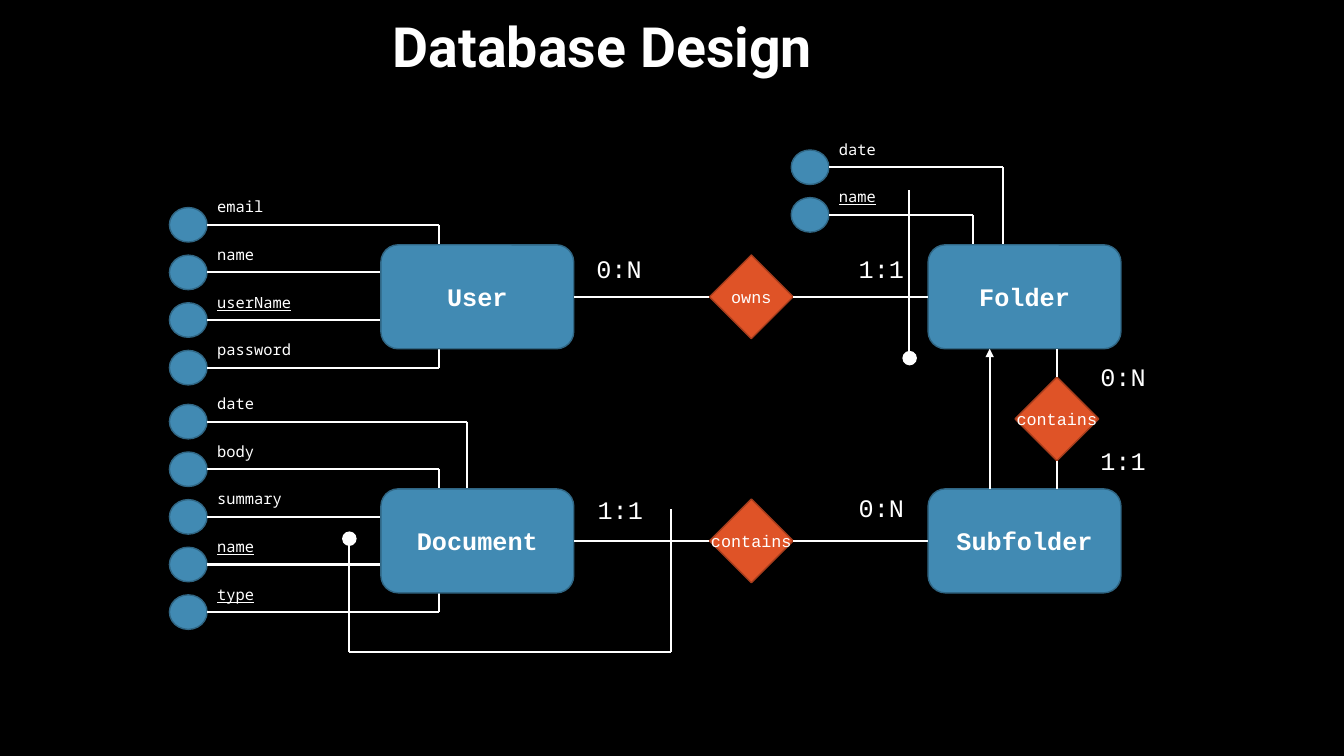
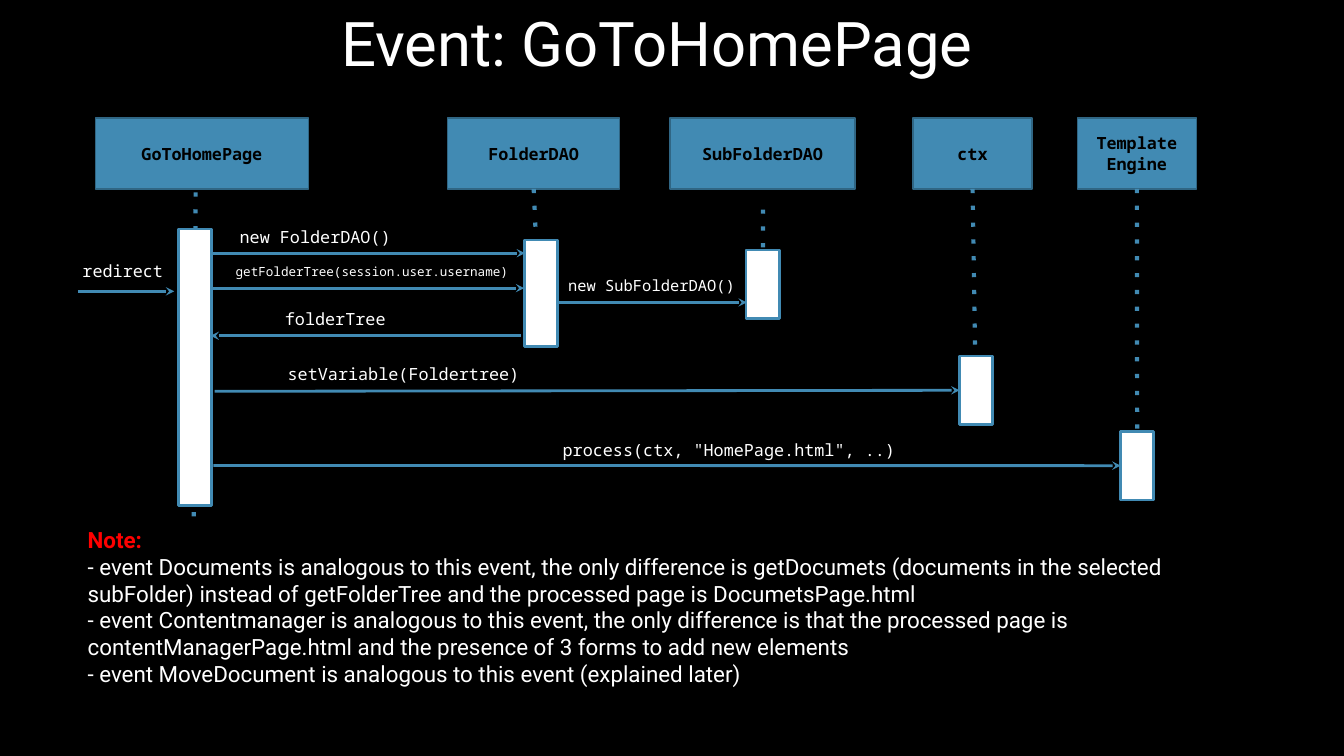
"""Build the database design and page event slides."""
from dataclasses import dataclass
from typing import Optional

from lxml import etree
from pptx import Presentation
from pptx import util as u
from pptx.dml.color import RGBColor
from pptx.enum import shapes, text
from pptx.oxml.ns import qn

BLACK, WHITE, RED = "000000", "FFFFFF", "FF0000"
BLUE, BLUE_EDGE = "418AB3", "306684"
ORANGE, ORANGE_EDGE = "DF5327", "A53D1D"
SANS, MONO, COURIER = "Roboto", "Noto Sans Mono", "Courier New"
TOP, LEFT, BOTTOM, RIGHT = range(4)
SHAPE = shapes.MSO_SHAPE
ALIGN = text.PP_ALIGN

ENTITY_W, ENTITY_H, DIAMOND, DOT = 4.86, 2.62, 2.11, 0.33
OVAL_W, OVAL_H, ATTRIBUTE_PITCH = 0.95, 0.87, 1.2
HEADER_TOP, HEADER_H, BAR_W = 2.97, 1.79, 0.84

Point = tuple[float, float]


@dataclass
class Style:
    size: float
    font: str
    color: str = WHITE
    bold: bool = False
    underline: bool = False


@dataclass
class Attribute:
    name: str
    reach: float
    key: bool = False


@dataclass
class Entity:
    name: str
    left: float
    top: float
    attributes_at: Point = (0, 0)
    attributes: tuple[Attribute, ...] = ()


@dataclass
class Participant:
    name: str
    left: float
    width: float
    bar_left: float
    bar_top: float
    bar_height: float = 1.73
    line_start: Optional[Point] = None
    line_end: Optional[Point] = None


@dataclass
class Message:
    label: str
    start: Point
    end_x: float
    label_at: Point
    size: float = 12
    target: Optional[int] = None


ENTITIES = (
    Entity("User", 9.6, 6.17, (4.27, 5.23), (
        Attribute("email", 11.07), Attribute("name", 9.6),
        Attribute("userName", 9.6, True), Attribute("password", 11.07))),
    Entity("Folder", 23.39, 6.17, (19.94, 3.78), (
        Attribute("date", 25.27), Attribute("name", 24.51, True))),
    Entity("Document", 9.6, 12.32, (4.27, 10.19), (
        Attribute("date", 11.76), Attribute("body", 11.07), Attribute("summary", 9.6),
        Attribute("name", 9.6, True), Attribute("type", 11.07, True))),
    Entity("Subfolder", 23.39, 12.32),
)
CARDINALITIES = (
    ("0:N", 14.78, 6.27), ("1:1", 21.39, 6.25), ("1:1", 14.81, 12.32),
    ("0:N", 21.39, 12.27), ("0:N", 27.48, 8.99), ("1:1", 27.48, 11.1),
)
REFERENCE_LINES = (
    ((22.91, 8.84), (22.91, 4.8)), ((8.79, 16.43), (8.79, 13.61)),
    ((8.79, 16.43), (16.9, 16.43)), ((16.92, 16.43), (16.92, 12.83)),
)
REFERENCE_DOTS = ((22.76, 8.86), (8.64, 13.41))

PARTICIPANTS = (
    Participant("GoToHomePage", 2.41, 5.36, 4.5, 5.77, 6.96, (4.93, 4.85), (4.88, 13.31)),
    Participant("FolderDAO", 11.28, 4.34, 13.21, 6.05, 2.69),
    Participant("SubFolderDAO", 16.89, 4.66, 18.8, 6.3, line_start=(19.23, 5.28)),
    Participant("ctx", 23.01, 3, 24.18, 8.97),
    Participant("Template Engine", 27.15, 3, 28.24, 10.87),
)
MESSAGES = (
    Message("redirect", (1.96, 7.34), 4.39, (1.83, 6.45)),
    Message("new FolderDAO()", (5.38, 6.38), 13.23, (5.79, 5.59)),
    Message("getFolderTree(session.user.username)", (5.36, 7.26), 13.21, (5.69, 6.53), 9),
    Message("folderTree", (13.13, 8.46), 5.31, (6.93, 7.65)),
    Message("new SubFolderDAO()", (14.07, 7.62), 18.82, (14.07, 6.83), 11),
    Message("setVariable(Foldertree)", (5.41, 9.86), 24.18, (7, 9.04), target=3),
    Message('process(ctx, "HomePage.html", ..)', (5.38, 11.73), 28.24, (13.93, 10.95), target=4),
)
NOTES = (
    "Note:",
    "- event Documents is analogous to this event, the only difference is getDocumets "
    "(documents in the selected subFolder) instead of getFolderTree and the processed "
    "page is DocumetsPage.html",
    "- event Contentmanager is analogous to this event, the only difference is that the "
    "processed page is contentManagerPage.html and the presence of 3 forms to add new elements",
    "- event MoveDocument is analogous to this event (explained later)",
)


def rgb(color: str) -> RGBColor:
    return RGBColor.from_string(color)


def format_paragraph(p, style: Style, align=ALIGN.LEFT) -> None:
    p.alignment = align
    for r in p.runs:
        r.font.size, r.font.name = u.Pt(style.size), style.font
        r.font.bold, r.font.underline = style.bold, style.underline
        r.font.color.rgb = rgb(style.color)


def add_text(s, content: str, left: float, top: float, width: float, height: float,
             style: Style, align=ALIGN.LEFT):
    tf = s.shapes.add_textbox(u.Cm(left), u.Cm(top), u.Cm(width), u.Cm(height)).text_frame
    tf.word_wrap = True
    tf.text = content
    for p in tf.paragraphs:
        format_paragraph(p, style, align)
    return tf


def add_box(s, kind, left: float, top: float, width: float, height: float, fill: str,
            edge: str, edge_width: float = 1, label: str = "", style: Optional[Style] = None):
    sp = s.shapes.add_shape(kind, u.Cm(left), u.Cm(top), u.Cm(width), u.Cm(height))
    sp.shadow.inherit = False
    sp.fill.solid()
    sp.fill.fore_color.rgb = rgb(fill)
    sp.line.color.rgb = rgb(edge)
    sp.line.width = u.Pt(edge_width)
    if style:
        tf = sp.text_frame
        tf.text = label
        tf.vertical_anchor = text.MSO_ANCHOR.MIDDLE
        format_paragraph(tf.paragraphs[0], style, ALIGN.CENTER)
    return sp


def add_line(s, start: Point, end: Point, color: str = WHITE, width: float = 1.5,
             dash: str = "", arrow: str = ""):
    c = s.shapes.add_connector(shapes.MSO_CONNECTOR.STRAIGHT,
                               *(u.Cm(v) for v in (*start, *end)))
    c.line.color.rgb = rgb(color)
    c.line.width = u.Pt(width)
    ln = c.line._get_or_add_ln()
    if dash:
        etree.SubElement(ln, qn("a:prstDash"), val=dash)
    if arrow:
        etree.SubElement(ln, qn("a:tailEnd"), type=arrow)
    etree.SubElement(c._element.spPr, qn("a:effectLst"))
    return c


def add_slide(prs, title: str, left: float, top: float, style: Style):
    s = prs.slides.add_slide(prs.slide_layouts[6])
    s.background.fill.solid()
    s.background.fill.fore_color.rgb = rgb(BLACK)
    tf = add_text(s, title, left, top, 29.21, 1.98, style, ALIGN.CENTER)
    tf.vertical_anchor = text.MSO_ANCHOR.MIDDLE
    tf.paragraphs[0].line_spacing = 0.9
    return s


def add_entity(s, entity: Entity):
    left, first_top = entity.attributes_at
    for i, attribute in enumerate(entity.attributes):
        top = first_top + i * ATTRIBUTE_PITCH
        y = top + OVAL_H / 2
        add_box(s, SHAPE.OVAL, left, top, OVAL_W, OVAL_H, BLUE, BLUE_EDGE)
        add_line(s, (left + OVAL_W, y), (attribute.reach, y))
        if attribute.reach > entity.left:
            add_line(s, (attribute.reach, y), (attribute.reach, entity.top + ENTITY_H / 2))
        add_text(s, attribute.name, left + OVAL_W, top - 0.38, 4.39, 0.7,
                 Style(11, MONO, underline=attribute.key))
    return add_box(s, SHAPE.ROUNDED_RECTANGLE, entity.left, entity.top, ENTITY_W, ENTITY_H,
                   BLUE, BLUE_EDGE, 1, entity.name, Style(18, COURIER, bold=True))


def add_relation(s, label: str, left: float, top: float):
    sp = add_box(s, SHAPE.DIAMOND, left, top, DIAMOND, DIAMOND, ORANGE, ORANGE_EDGE, 1,
                 label, Style(12, COURIER))
    tf = sp.text_frame
    tf.word_wrap = False
    tf.margin_left = tf.margin_right = tf.margin_top = tf.margin_bottom = 0
    return sp


def build_database(prs) -> None:
    s = add_slide(prs, "Database Design", 0.58, 0.25, Style(39.6, SANS, bold=True))
    boxes = {entity.name: add_entity(s, entity) for entity in ENTITIES}
    inset = (ENTITY_H - DIAMOND) / 2
    for label, first, second, row in (("owns", "User", "Folder", 6.17),
                                      ("contains", "Document", "Subfolder", 12.32)):
        diamond = add_relation(s, label, 17.88, row + inset)
        for name, diamond_side, box_side in ((first, LEFT, RIGHT), (second, RIGHT, LEFT)):
            c = add_line(s, (0, 0), (0, 0))
            c.begin_connect(diamond, diamond_side)
            c.end_connect(boxes[name], box_side)
    diamond = add_relation(s, "contains", 25.58, 9.5)
    for side, y in ((TOP, 6.17 + ENTITY_H), (BOTTOM, 12.32)):
        c = add_line(s, (0, 0), (25.58 + DIAMOND / 2, y))
        c.begin_connect(diamond, side)
    add_line(s, (24.94, 12.32), (24.94, 6.17 + ENTITY_H), arrow="triangle")
    for label, left, top in CARDINALITIES:
        add_text(s, label, left, top, 2.11, 1.02, Style(18, COURIER))
    for start, end in REFERENCE_LINES:
        add_line(s, start, end)
    for left, top in REFERENCE_DOTS:
        add_box(s, SHAPE.OVAL, left, top, DOT, DOT, WHITE, WHITE)


def add_participant(s, item: Participant):
    header = add_box(s, SHAPE.RECTANGLE, item.left, HEADER_TOP, item.width, HEADER_H, BLUE,
                     BLUE_EDGE, 1, item.name, Style(12, MONO, BLACK, True))
    lifeline = add_line(s, item.line_start or (0, 0), item.line_end or (0, 0), BLUE, 3, "dot")
    bar = add_box(s, SHAPE.RECTANGLE, item.bar_left, item.bar_top, BAR_W, item.bar_height,
                  WHITE, BLUE, 2)
    if item.line_start is None:
        lifeline.begin_connect(header, BOTTOM)
    if item.line_end is None:
        lifeline.end_connect(bar, BOTTOM)
    return bar


def build_event(prs) -> None:
    s = add_slide(prs, "Event: GoToHomePage", 1.96, 0.18, Style(44, SANS))
    bars = [add_participant(s, item) for item in PARTICIPANTS]
    for message in MESSAGES:
        c = add_line(s, message.start, (message.end_x, message.start[1]), BLUE, 2,
                     arrow="stealth")
        if message.target is not None:
            c.end_connect(bars[message.target], LEFT)
        add_text(s, message.label, *message.label_at, 9.5, 0.9, Style(message.size, MONO))
    tf = add_text(s, "\n".join(NOTES), 1.96, 13.13, 30.1, 4.37, Style(16, SANS))
    format_paragraph(tf.paragraphs[0], Style(16, SANS, RED, True))


def main() -> None:
    prs = Presentation()
    prs.slide_width, prs.slide_height = u.Cm(33.87), u.Cm(19.05)
    build_database(prs)
    build_event(prs)
    prs.save("out.pptx")


if __name__ == "__main__":
    main()
